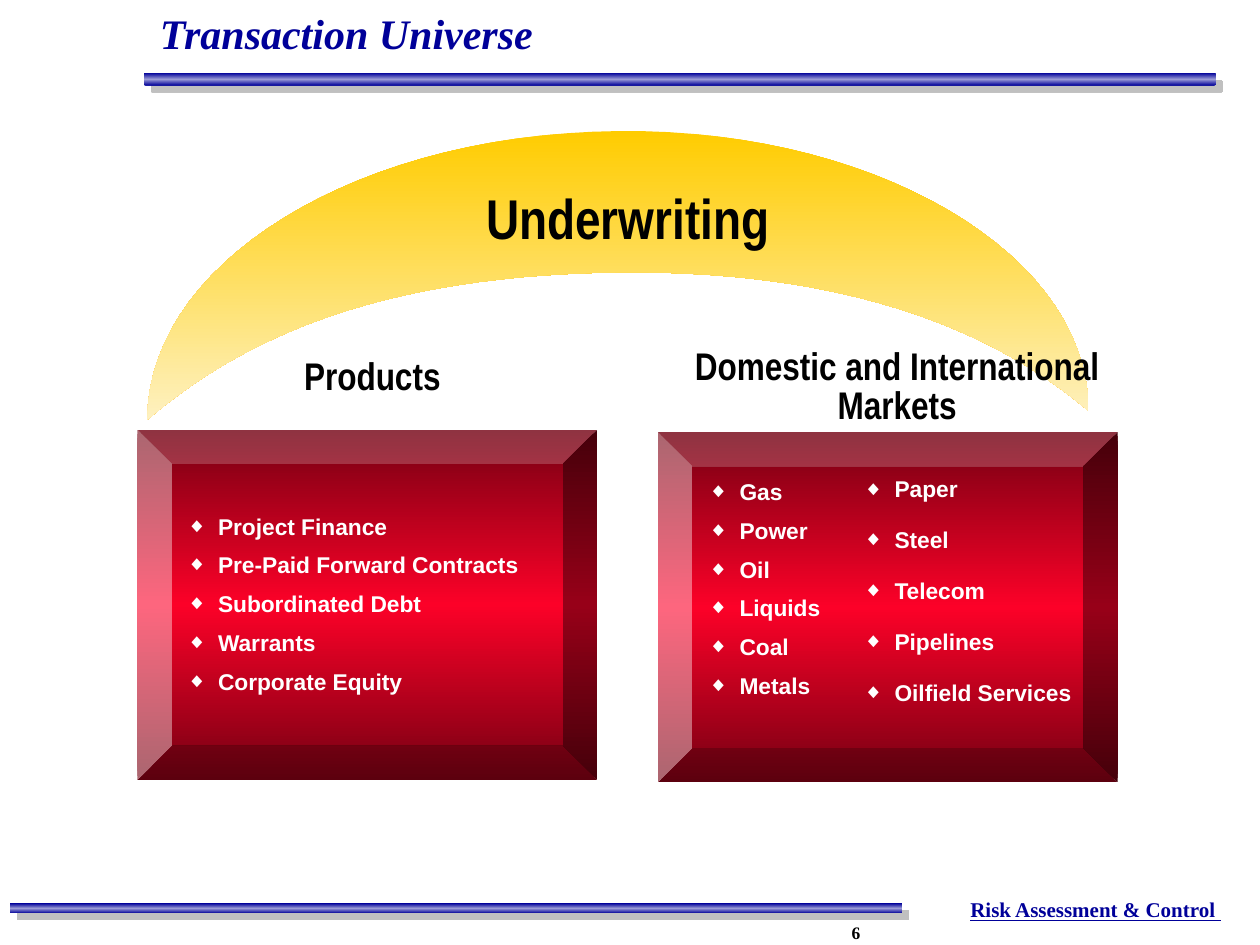
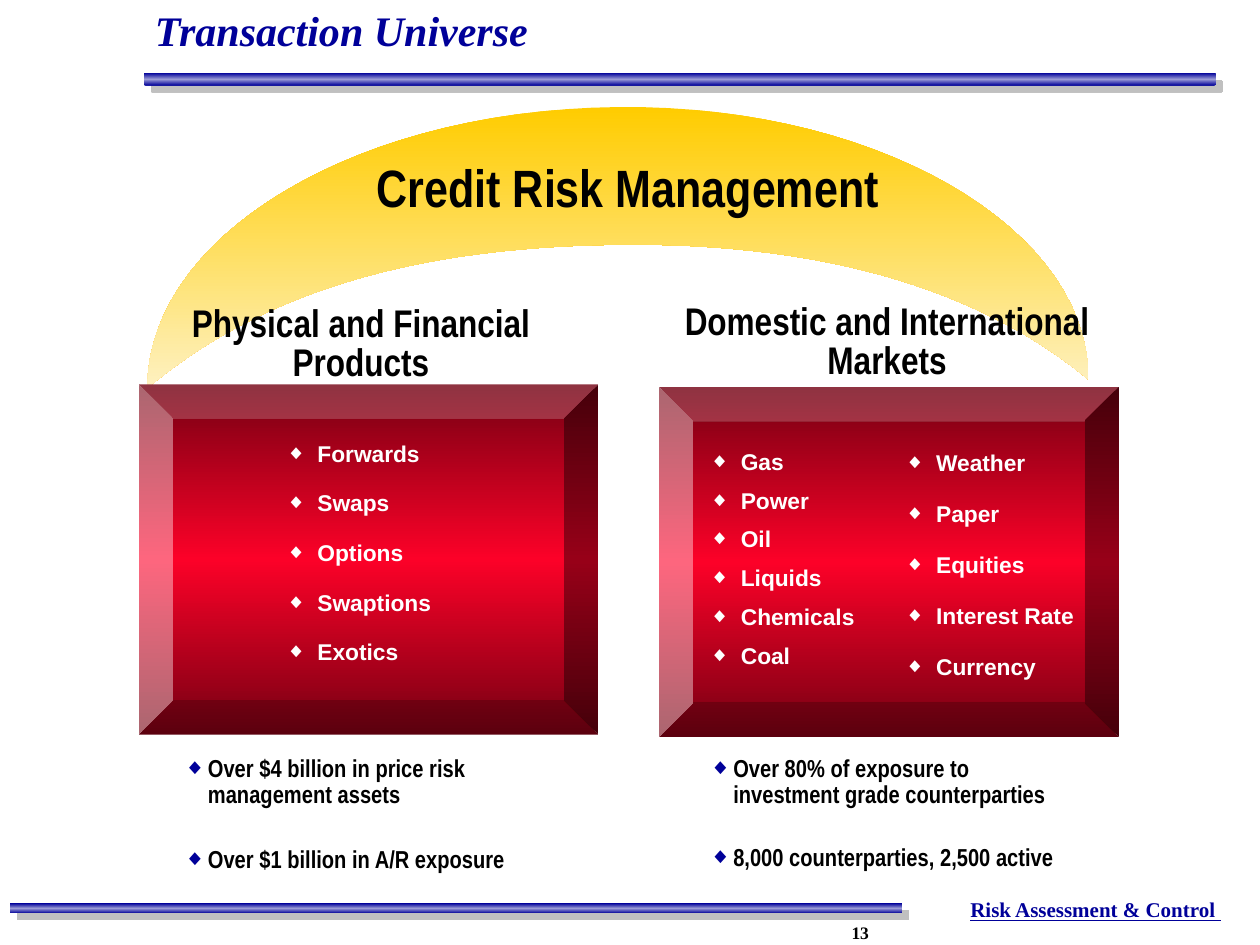
import pptx
import pptx.util
import pptx.dml.color
import pptx.enum.shapes
import pptx.enum.text
import pptx.oxml.ns
from lxml import etree

Inches = pptx.util.Inches
Pt = pptx.util.Pt
qn = pptx.oxml.ns.qn
MSO_SHAPE = pptx.enum.shapes.MSO_SHAPE
ALIGN = pptx.enum.text.PP_ALIGN
ANCHOR = pptx.enum.text.MSO_ANCHOR

COLORS = {
    "navy": "000099", "periwinkle": "9A9AD6", "shadow": "C0C0C0",
    "gold": "FFCC00", "cream": "FEF1C0",
    "maroon": "740012", "red": "FC0128",
    "black": "000000", "white": "FFFFFF",
}
SERIF, SANS, NARROW = "Times New Roman", "Arial", "Arial Narrow"
BAR_GRADIENT = ["navy", "periwinkle", "navy"]
PANEL_GRADIENT = ["maroon", "red", "maroon"]
PANEL_SIZE = (3.65, 2.78)
ARCH_START = (1, 0.97)
ARCH_CURVES = [
    [(0.91, 0.72), (0.76, 0.48), (0.5, 0.49)],
    [(0.23, 0.5), (0.09, 0.75), (0, 1)],
    [(0, 0.46), (0.22, 0.01), (0.5, 0)],
    [(0.77, -0.01), (1, 0.42), (1, 0.97)],
]
CURVE_STEPS = 30

SLIDES = [
    {
        "number": "6", "title_at": (1.18, 0.08),
        "arch": {"box": (1.17, 1.04, 7.47, 2.29), "text": "Underwriting",
                 "size": 32, "text_top": 0.46},
        "panels": [
            {"at": (1.09, 3.41), "heading": "Products",
             "heading_box": (0.2, -0.6, 3.33, 0.33),
             "lists": [
                 ((0.3, 0.34, 3.38, 2.08), 1,
                  ["Project Finance", "Pre-Paid Forward Contracts",
                   "Subordinated Debt", "Warrants", "Corporate Equity"])]},
            {"at": (5.22, 3.43), "heading": "Domestic and International Markets",
             "heading_box": (0.15, -0.7, 3.5, 0.25),
             "lists": [
                 ((0.31, 0.5, 1.83, 1.48), 1,
                  ["Gas", "Power", "Oil", "Liquids", "Coal", "Metals"]),
                 ((1.54, 0.47, 2.03, 1.48), 1.45,
                  ["Paper", "Steel", "Telecom", "Pipelines", "Oilfield Services"])]},
        ],
        "notes": [],
    },
    {
        "number": "13", "title_at": (1.14, 0.06),
        "arch": {"box": (1.17, 0.85, 7.47, 2.23), "text": "Credit Risk Management",
                 "size": 30, "text_top": 0.42},
        "panels": [
            {"at": (1.1, 3.05), "heading": "Physical and Financial\nProducts",
             "heading_box": (0.1, -0.66, 3.33, 0.33),
             "lists": [
                 ((1.08, 0.25, 2.34, 2.08), 1.4,
                  ["Forwards", "Swaps", "Options", "Swaptions", "Exotics"])]},
            {"at": (5.23, 3.07), "heading": "Domestic and International Markets",
             "heading_box": (0.06, -0.7, 3.5, 0.25),
             "lists": [
                 ((0.31, 0.62, 1.83, 1.48), 1,
                  ["Gas", "Power", "Oil", "Liquids", "Chemicals", "Coal"]),
                 ((1.86, 0.62, 2.03, 1.48), 1.45,
                  ["Weather", "Paper", "Equities", "Interest Rate", "Currency"])]},
        ],
        "notes": [
            ((1.41, 5.95, 2.91, 1.04), 16.6,
             ["Over $4 billion in price risk management assets",
              "Over $1 billion in A/R exposure"]),
            ((5.58, 5.95, 3, 1.02), 15.8,
             ["Over 80% of exposure to investment grade counterparties",
              "8,000 counterparties, 2,500 active"]),
        ],
    },
]


def rgb(name):
    return pptx.dml.color.RGBColor.from_string(COLORS[name])


def add_color(parent, name):
    etree.SubElement(parent, qn("a:srgbClr"), val=COLORS[name])


def fill_gradient(sp, names):
    sp.shadow.inherit = False
    sp.line.fill.background()
    sp.fill.gradient()
    sp.fill.gradient_angle = 270
    stops = sp._element.spPr.find(".//" + qn("a:gsLst"))
    for stop in list(stops):
        stops.remove(stop)
    for i, name in enumerate(names):
        pos = 100000 * i // (len(names) - 1)
        add_color(etree.SubElement(stops, qn("a:gs"), pos=str(pos)), name)


def add_bullet(p, color, indent):
    pPr = p._p.get_or_add_pPr()
    pPr.set("marL", str(Inches(indent)))
    pPr.set("indent", str(-Inches(indent)))
    add_color(etree.SubElement(pPr, qn("a:buClr")), color)
    etree.SubElement(pPr, qn("a:buSzPct"), val="90000")
    etree.SubElement(pPr, qn("a:buFont"), typeface=SANS)
    etree.SubElement(pPr, qn("a:buChar"), char="◆")


def add_text(s, box, lines, font, size, color, align=ALIGN.LEFT, anchor=ANCHOR.TOP,
             inset=(0.09, 0.04), spacing=None, before=0, after=0,
             bullet=None, indent=0.25, italic=False, underline=False):
    tf = s.shapes.add_textbox(*map(Inches, box)).text_frame
    tf.word_wrap = True
    tf.vertical_anchor = anchor
    tf.margin_left = tf.margin_right = Inches(inset[0])
    tf.margin_top = tf.margin_bottom = Inches(inset[1])
    for i, line in enumerate(lines):
        p = tf.add_paragraph() if i else tf.paragraphs[0]
        p.text = line
        p.alignment = align
        p.line_spacing = spacing
        p.space_before = Pt(before if i else 0)
        p.space_after = Pt(after)
        if bullet:
            add_bullet(p, bullet, indent)
        for r in p.runs:
            r.font.name = font
            r.font.size = Pt(size)
            r.font.color.rgb = rgb(color)
            r.font.bold = True
            r.font.italic = italic
            r.font.underline = underline


def add_bar(s, shape, box):
    sp = s.shapes.add_shape(shape, *map(Inches, box))
    fill_gradient(sp, BAR_GRADIENT)
    effects = sp._element.spPr.find(qn("a:effectLst"))
    shadow = etree.SubElement(effects, qn("a:outerShdw"), dist=str(Pt(5.7)),
                              dir="2700000", algn="ctr", rotWithShape="0")
    add_color(shadow, "shadow")


def add_frame(s, number, title_at):
    add_bar(s, MSO_SHAPE.RECTANGLE, (0.08, 7.17, 7.08, 0.08))
    add_bar(s, MSO_SHAPE.ROUNDED_RECTANGLE, (1.14, 0.58, 8.51, 0.1))
    add_text(s, (7.5, 7.07, 2.39, 0.3), ["Risk Assessment & Control "], SERIF, 12, "navy",
             align=ALIGN.CENTER, inset=(0.1, 0.05), underline=True)
    add_text(s, (6.66, 7.27, 0.82, 0.26), [number], SERIF, 10, "black", inset=(0.1, 0.05))
    add_text(s, (*title_at, 8.53, 0.42), ["Transaction Universe"], SERIF, 24, "navy",
             spacing=0.85, italic=True)


def curve_points(start, curves):
    for c1, c2, end in curves:
        for step in range(1, CURVE_STEPS + 1):
            t = step / CURVE_STEPS
            weights = ((1 - t) ** 3, 3 * t * (1 - t) ** 2, 3 * t * t * (1 - t), t ** 3)
            yield tuple(sum(w * v for w, v in zip(weights, axis))
                        for axis in zip(start, c1, c2, end))
        start = end


def add_arch(s, box, text, size, text_top):
    x, y, w, h = box

    def place(point):
        return Inches(x + w * point[0]), Inches(y + h * point[1])

    builder = s.shapes.build_freeform(*place(ARCH_START))
    builder.add_line_segments([place(pt) for pt in curve_points(ARCH_START, ARCH_CURVES)])
    fill_gradient(builder.convert_to_shape(), ["gold", "cream"])
    add_text(s, (x + 0.08, y + text_top, w, 0.95), [text], NARROW, size, "black",
             align=ALIGN.CENTER, spacing=0.85)


def add_panel(s, at, heading, heading_box, lists):
    x, y = at

    def place(box):
        return (x + box[0], y + box[1], *box[2:])

    sp = s.shapes.add_shape(MSO_SHAPE.BEVEL, *map(Inches, (*at, *PANEL_SIZE)))
    sp.adjustments[0] = 0.098
    fill_gradient(sp, PANEL_GRADIENT)
    for box, spacing, items in lists:
        add_text(s, place(box), items, SANS, 13, "white", anchor=ANCHOR.MIDDLE,
                 spacing=spacing, before=6.5, bullet="white")
    add_text(s, place(heading_box), [heading], NARROW, 22, "black",
             align=ALIGN.CENTER, spacing=0.85)


def build_slide(prs, data):
    s = prs.slides.add_slide(prs.slide_layouts[6])
    add_frame(s, data["number"], data["title_at"])
    add_arch(s, **data["arch"])
    for panel in data["panels"]:
        add_panel(s, **panel)
    for box, before, items in data["notes"]:
        add_text(s, box, items, NARROW, 14, "black", inset=(0.05, 0.05), spacing=0.9,
                 before=before, after=5.2, bullet="navy", indent=0.19)


def main():
    prs = pptx.Presentation()
    prs.slide_width = Inches(10)
    prs.slide_height = Inches(7.5)
    for data in SLIDES:
        build_slide(prs, data)
    prs.save("out.pptx")


if __name__ == "__main__":
    main()
